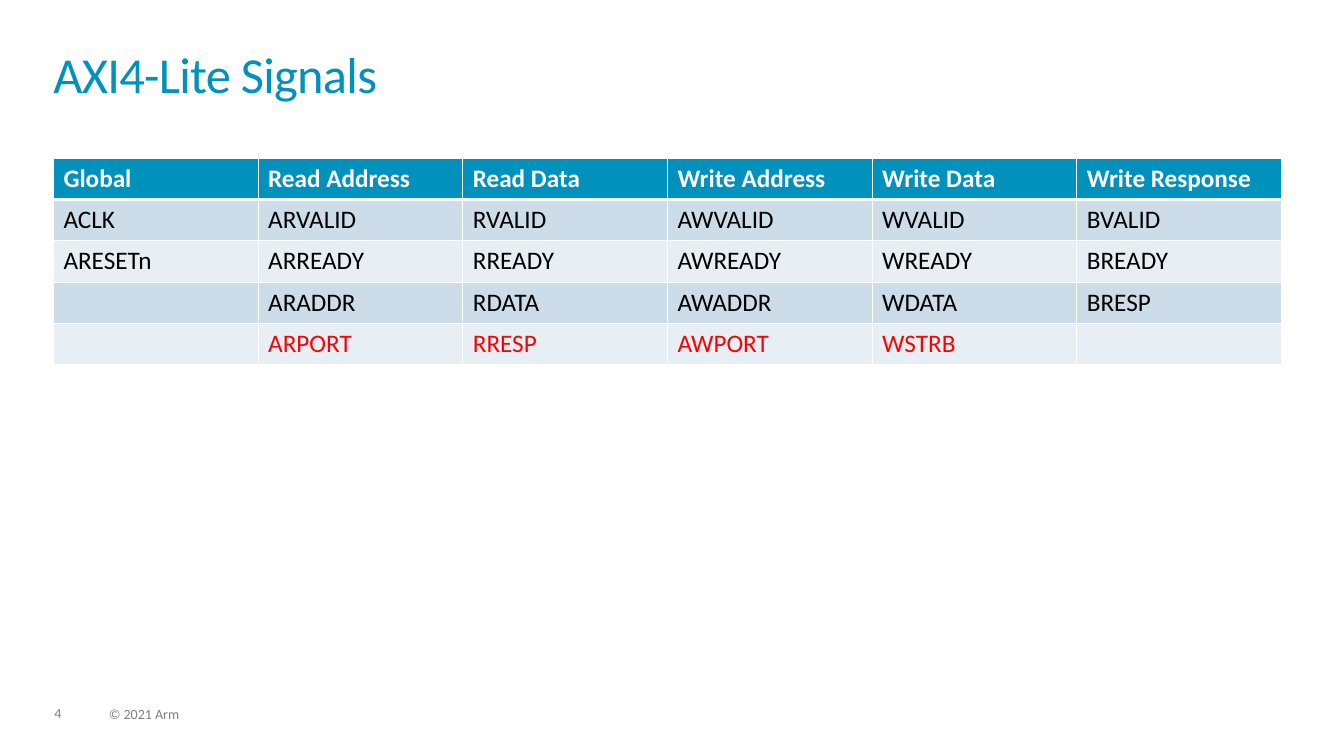
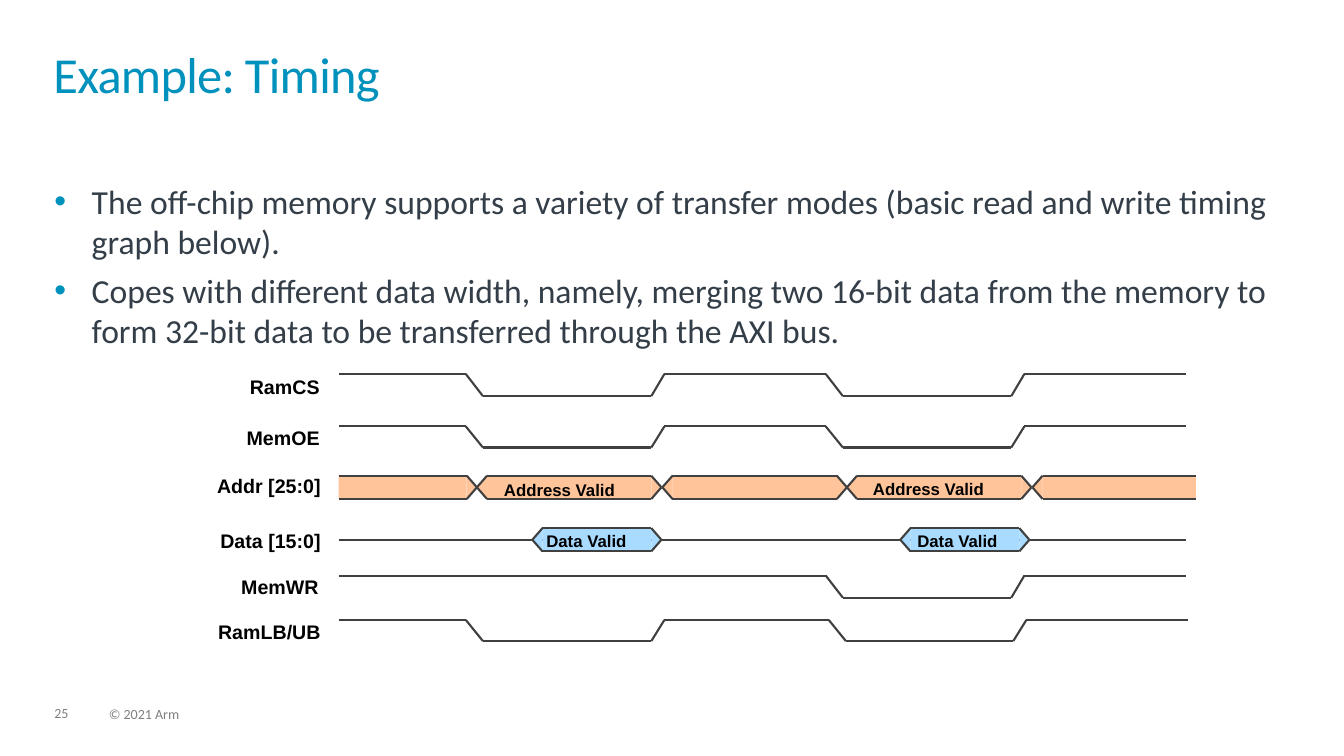
from itertools import pairwise
from typing import NamedTuple

from lxml import etree
from pptx import Presentation
from pptx.dml.color import RGBColor
from pptx.enum.shapes import MSO_CONNECTOR, MSO_SHAPE
from pptx.enum.text import PP_ALIGN
from pptx.oxml.ns import qn
from pptx.util import Inches, Pt

LEFT, RIGHT = PP_ALIGN.LEFT, PP_ALIGN.RIGHT
STRAIGHT = MSO_CONNECTOR.STRAIGHT
RECT, TRIANGLE = MSO_SHAPE.RECTANGLE, MSO_SHAPE.ISOSCELES_TRIANGLE

# Shared style
BODY_FONT, DIAGRAM_FONT = "Calibri", "Arial"
ACCENT, INK, GREY = "0091BD", "333E48", "7F7F7F"
WHITE, BLACK, RED = "FFFFFF", "000000", "FF0000"
BANDS = ("CCDCE8", "E7EEF4")
WIRE, ADDR_FILL, DATA_FILL = "404040", "FFC499", "A8DBFF"
FOOTER = "© 2021 Arm"

# Table and timing diagram measures, in inches
COL_W, ROW_H = 2.03, 0.41
START, END = 3.36, 11.76
FALL, RISE = 0.17, 0.13
BUS_H, TIP = 0.23, 0.1
ADDR_Y, DATA_Y = 4.72, 5.24


class Caption(NamedTuple):
    text: str
    left: float
    top: float
    width: float = 1.73
    size: float = 14
    align: PP_ALIGN = RIGHT


class Wave(NamedTuple):
    high: float
    low: float
    dips: tuple
    end: float = END


class BusCell(NamedTuple):
    left: float
    right: float
    top: float
    fill: str
    open_left: bool = False
    open_right: bool = False


HEADERS = ["Global", "Read Address", "Read Data", "Write Address", "Write Data", "Write Response"]
SIGNALS = [
    ["ACLK", "ARVALID", "RVALID", "AWVALID", "WVALID", "BVALID"],
    ["ARESETn", "ARREADY", "RREADY", "AWREADY", "WREADY", "BREADY"],
    ["", "ARADDR", "RDATA", "AWADDR", "WDATA", "BRESP"],
    ["", "ARPORT", "RRESP", "AWPORT", "WSTRB", ""],
]
BULLETS = [
    "The off-chip memory supports a variety of transfer modes "
    "(basic read and write timing graph below).",
    "Copes with different data width, namely, merging two 16-bit data from the memory "
    "to form 32-bit data to be transferred through the AXI bus.",
]
CAPTIONS = [
    Caption("RamCS", 1.54, 3.67),
    Caption("MemOE", 1.54, 4.18),
    Caption("Addr [25:0]", 1.55, 4.65),
    Caption("Data [15:0]", 1.55, 5.2),
    Caption("MemWR", 1.53, 5.65),
    Caption("RamLB/UB", 1.55, 6.1),
    Caption("Address Valid", 4.9, 4.71, 1.99, 12, LEFT),
    Caption("Address Valid", 8.56, 4.7, 1.99, 12, LEFT),
    Caption("Data Valid", 5.32, 5.22, 1.74, 12, LEFT),
    Caption("Data Valid", 9, 5.22, 1.74, 12, LEFT),
]
READ, WRITE = (4.62, 6.59), (8.19, 10.16)
WAVES = [
    Wave(3.71, 3.93, (READ, WRITE)),
    Wave(4.23, 4.44, (READ, WRITE)),
    Wave(5.71, 5.93, (WRITE,)),
    Wave(6.15, 6.36, (READ, (8.22, 10.18)), 11.78),
]
CELLS = [
    BusCell(START, 4.73, ADDR_Y, ADDR_FILL, open_left=True),
    BusCell(4.73, 6.56, ADDR_Y, ADDR_FILL),
    BusCell(6.57, 8.4, ADDR_Y, ADDR_FILL),
    BusCell(8.4, 10.23, ADDR_Y, ADDR_FILL),
    BusCell(10.24, 11.86, ADDR_Y, ADDR_FILL, open_right=True),
    BusCell(5.28, 6.56, DATA_Y, DATA_FILL),
    BusCell(8.93, 10.21, DATA_Y, DATA_FILL),
]


def rgb(color: str) -> RGBColor:
    return RGBColor.from_string(color)


def style(p, size: float, color: str, font: str = BODY_FONT, bold: bool = False) -> None:
    for r in p.runs:
        r.font.size, r.font.name, r.font.bold = Pt(size), font, bold
        r.font.color.rgb = rgb(color)


def text_frame(s, left: float, top: float, width: float, height: float,
               inset_x: float = 0, inset_y: float = 0):
    tf = s.shapes.add_textbox(Inches(left), Inches(top), Inches(width), Inches(height)).text_frame
    tf.word_wrap = True
    tf.margin_left = tf.margin_right = Inches(inset_x)
    tf.margin_top = tf.margin_bottom = Inches(inset_y)
    return tf


def add_slide(prs, title: str, number: int):
    """Blank slide with the shared title, page number and footer."""
    s = prs.slides.add_slide(prs.slide_layouts[6])
    for text, left, top, width in ((str(number), 0.54, 7.01, 0.34), (FOOTER, 1.08, 7.02, 5.07)):
        p = text_frame(s, left, top, width, 0.15).paragraphs[0]
        p.text, p.line_spacing = text, 0.9
        style(p, 10, GREY)
    p = text_frame(s, 0.53, 0.52, 12.28, 0.72).paragraphs[0]
    p.text, p.line_spacing = title, 0.85
    style(p, 36, ACCENT)
    p.runs[0].font._element.set("spc", "-50")
    return s


# Table
def set_borders(cell, top: float, bottom: float) -> None:
    tc_pr = cell._tc.get_or_add_tcPr()
    for i, (tag, width) in enumerate((("lnL", 1), ("lnR", 1), ("lnT", top), ("lnB", bottom))):
        ln = etree.Element(qn(f"a:{tag}"), w=str(Pt(width)))
        fill = etree.SubElement(ln, qn("a:solidFill"))
        etree.SubElement(fill, qn("a:srgbClr"), val=WHITE)
        tc_pr.insert(i, ln)


def add_signal_table(s) -> None:
    rows = [HEADERS] + SIGNALS
    table = s.shapes.add_table(len(rows), len(HEADERS), Inches(0.53), Inches(1.57),
                               Inches(COL_W * len(HEADERS)), Inches(ROW_H * len(rows))).table
    for i, row in enumerate(rows):
        header = i == 0
        color = WHITE if header else RED if i == len(rows) - 1 else BLACK
        for j, text in enumerate(row):
            cell = table.cell(i, j)
            cell.fill.solid()
            cell.fill.fore_color.rgb = rgb(ACCENT if header else BANDS[(i - 1) % 2])
            set_borders(cell, 3 if i == 1 else 1, 3 if header else 1)
            if text:
                p = cell.text_frame.paragraphs[0]
                p.text = text
                style(p, 18, color, bold=header)


# Bullets
def add_bullets(s) -> None:
    tf = text_frame(s, 0.54, 1.79, 12.23, 4.47)
    for i, text in enumerate(BULLETS):
        p = tf.add_paragraph() if i else tf.paragraphs[0]
        p.text = text
        p_pr = p._p.get_or_add_pPr()
        p_pr.set("marL", str(Inches(0.37)))
        p_pr.set("indent", str(-Inches(0.37)))
        color = etree.SubElement(p_pr, qn("a:buClr"))
        etree.SubElement(color, qn("a:srgbClr"), val=ACCENT)
        etree.SubElement(p_pr, qn("a:buFont"), typeface="Arial")
        etree.SubElement(p_pr, qn("a:buChar"), char="•")
        if i:
            p.space_before = Pt(6)
        style(p, 24, INK)


# Timing diagram
def add_wires(s, points: list) -> None:
    """Join neighbouring points with straight lines."""
    for (x1, y1), (x2, y2) in pairwise(points):
        wire = s.shapes.add_connector(STRAIGHT, Inches(x1), Inches(y1), Inches(x2), Inches(y2))
        wire.line.color.rgb, wire.line.width = rgb(WIRE), Pt(1.5)
        etree.SubElement(wire._element.spPr, qn("a:effectLst"))


def add_fill(s, kind, left: float, top: float, width: float, height: float,
             color: str, rotation: float = 0) -> None:
    sp = s.shapes.add_shape(kind, Inches(left), Inches(top), Inches(width), Inches(height))
    sp.shadow.inherit = False
    sp.fill.solid()
    sp.fill.fore_color.rgb = rgb(color)
    sp.line.fill.background()
    sp.rotation = rotation


def add_wave(s, wave: Wave) -> None:
    points = [(START, wave.high)]
    for fall, rise in wave.dips:
        points += [(fall, wave.high), (fall + FALL, wave.low),
                   (rise - RISE, wave.low), (rise, wave.high)]
    add_wires(s, points + [(wave.end, wave.high)])


def add_bus_cell(s, cell: BusCell) -> None:
    top, mid, bottom = cell.top, cell.top + BUS_H / 2, cell.top + BUS_H
    left = cell.left if cell.open_left else cell.left + TIP
    right = cell.right if cell.open_right else cell.right - TIP
    add_fill(s, RECT, left, top, right - left, BUS_H, cell.fill)
    ends = ((cell.open_left, left, cell.left, 270), (cell.open_right, right, cell.right, 90))
    for is_open, base, tip, rotation in ends:
        if not is_open:
            add_fill(s, TRIANGLE, (base + tip - BUS_H) / 2, mid - TIP / 2, BUS_H, TIP,
                     cell.fill, rotation)
            add_wires(s, [(base, top), (tip, mid), (base, bottom)])
    for y in (top, bottom):
        add_wires(s, [(left, y), (right, y)])


def add_timing_diagram(s) -> None:
    for wave in WAVES:
        add_wave(s, wave)
    idle_y = DATA_Y + BUS_H / 2
    add_wires(s, [(START, idle_y), (END, idle_y)])
    for cell in CELLS:
        add_bus_cell(s, cell)
    for caption in CAPTIONS:
        tf = text_frame(s, caption.left, caption.top, caption.width, 0.3, 0.1, 0.05)
        p = tf.paragraphs[0]
        p.text, p.alignment = caption.text, caption.align
        style(p, caption.size, BLACK, DIAGRAM_FONT, True)


def main() -> None:
    prs = Presentation()
    prs.slide_width, prs.slide_height = Inches(13.33), Inches(7.5)
    add_signal_table(add_slide(prs, "AXI4-Lite Signals", 4))
    s = add_slide(prs, "Example: Timing", 25)
    add_bullets(s)
    add_timing_diagram(s)
    prs.save("out.pptx")


if __name__ == "__main__":
    main()
